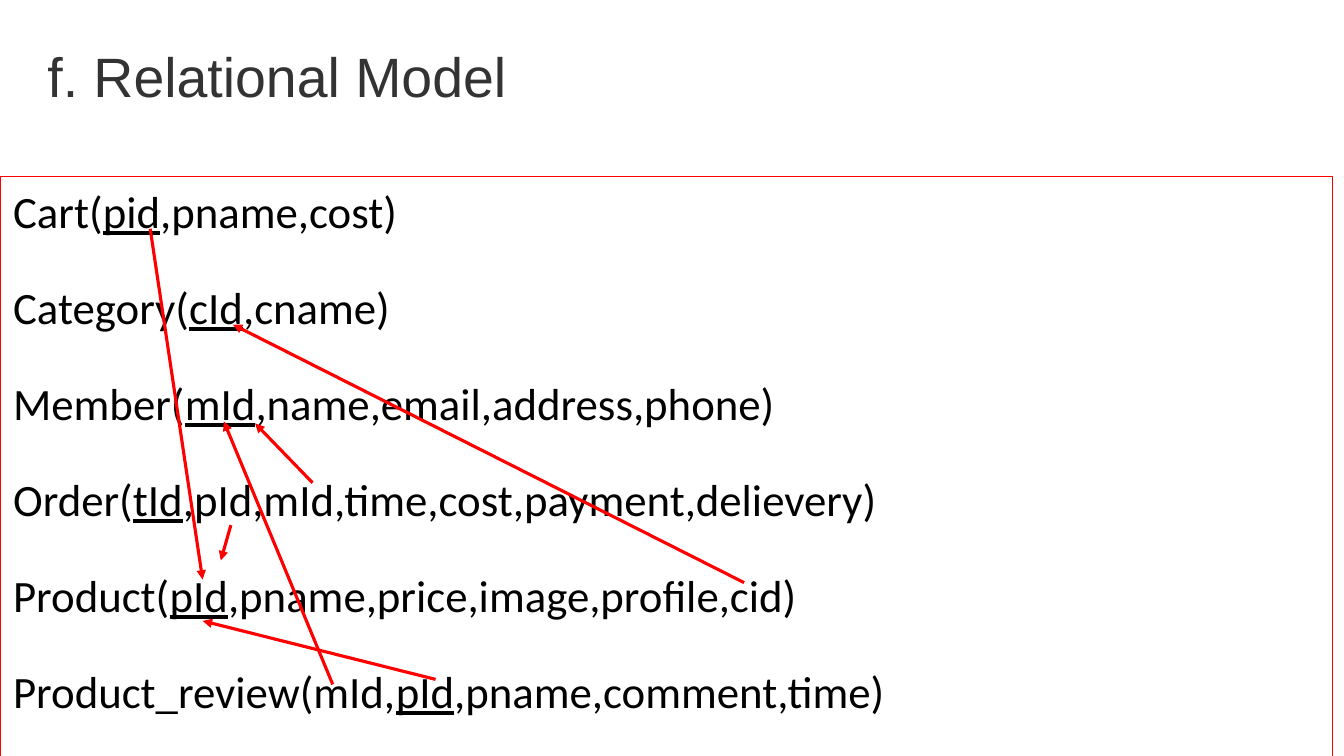
"""Build the relational model slide with its foreign key arrows."""
from dataclasses import dataclass

from lxml import etree
from pptx import Presentation
from pptx.dml.color import RGBColor
from pptx.enum import shapes, text
from pptx.oxml import ns
from pptx.util import Inches, Pt


@dataclass(frozen=True)
class Theme:
    """Colours, fonts and type sizes of the slide."""
    title_color: RGBColor = RGBColor(0x33, 0x33, 0x33)
    body_color: RGBColor = RGBColor(0, 0, 0)
    accent: RGBColor = RGBColor(0xFF, 0, 0)
    title_font: str = "Arial"
    body_font: str = "Calibri"
    title_size: float = 39.6
    body_size: float = 32
    relation_gap: float = 34


THEME = Theme()

RELATIONS = [
    ("Cart(", "pid", ",pname,cost)"),
    ("Category(", "cId", ",cname)"),
    ("Member(", "mId", ",name,email,address,phone)"),
    ("Order(", "tId", ",pId,mId,time,cost,payment,delievery)"),
    ("Product(", "pId", ",pname,price,image,profile,cid)"),
    ("Product_review(mId,", "pId", ",pname,comment,time)"),
]

FOREIGN_KEYS = [
    ((2.29, 5.21), (2.19, 5.56)),
    ((1.49, 2.27), (2.01, 5.75)),
    ((4.32, 6.74), (2.01, 6.16)),
    ((3.3, 6.79), (2.22, 4.18)),
    ((7.38, 5.78), (2.31, 3.22)),
    ((3.1, 4.79), (2.53, 4.2)),
]


def place(box, left, top, width, height, inset, anchor):
    """Position a placeholder and set up its text frame."""
    box.left, box.top = Inches(left), Inches(top)
    box.width, box.height = Inches(width), Inches(height)
    frame = box.text_frame
    frame.word_wrap = True
    frame.auto_size = text.MSO_AUTO_SIZE.NONE
    frame.vertical_anchor = anchor
    frame.margin_left = frame.margin_right = Inches(inset)
    frame.margin_top = frame.margin_bottom = Inches(inset)
    return frame


def format_para(para, font, size, color, gap=0):
    """Format a paragraph and all of its runs."""
    para.alignment = text.PP_ALIGN.LEFT
    para.line_spacing = 0.9
    para.space_before, para.space_after = Pt(0), Pt(gap)
    for span in para.runs:
        span.font.name = font
        span.font.size = Pt(size)
        span.font.color.rgb = color


def add_title(page, wording):
    """Fill the title placeholder."""
    frame = place(page.shapes.title, 0.37, 0.42, 5.54, 0.74, 0.1,
                  text.MSO_ANCHOR.MIDDLE)
    frame.text = wording
    format_para(frame.paragraphs[0], THEME.title_font, THEME.title_size,
                THEME.title_color)


def add_relation(para, parts):
    """Write one relation with its primary key underlined."""
    for part in parts:
        para.add_run().text = part
    para.runs[1].font.underline = True
    format_para(para, THEME.body_font, THEME.body_size, THEME.body_color,
                THEME.relation_gap)
    properties = para._p.get_or_add_pPr()
    properties.set("marL", "0")
    properties.set("indent", "0")
    etree.SubElement(properties, ns.qn("a:buNone"))


def add_relations(page):
    """List the relations in the framed body placeholder."""
    box = page.placeholders[1]
    frame = place(box, 0, 1.75, 13.22, 7.5, 0.13, text.MSO_ANCHOR.TOP)
    box.line.color.rgb = THEME.accent
    box.line.width = Pt(0.75)
    for index, parts in enumerate(RELATIONS):
        para = frame.add_paragraph() if index else frame.paragraphs[0]
        add_relation(para, parts)


def add_arrow(page, start, end):
    """Draw an arrow from a foreign key to the key it refers to."""
    points = [Inches(value) for value in (*start, *end)]
    arrow = page.shapes.add_connector(shapes.MSO_CONNECTOR.STRAIGHT, *points)
    arrow.line.color.rgb = THEME.accent
    arrow.line.width = Pt(2.25)
    etree.SubElement(arrow.line._get_or_add_ln(), ns.qn("a:tailEnd"),
                     type="triangle")
    etree.SubElement(arrow._element.spPr, ns.qn("a:effectLst"))


def main():
    """Build and save the deck."""
    deck = Presentation()
    deck.slide_width, deck.slide_height = Inches(13.33), Inches(7.5)
    page = deck.slides.add_slide(deck.slide_layouts[1])
    add_title(page, "f. Relational Model")
    add_relations(page)
    for start, end in FOREIGN_KEYS:
        add_arrow(page, start, end)
    deck.save("out.pptx")


if __name__ == "__main__":
    main()
